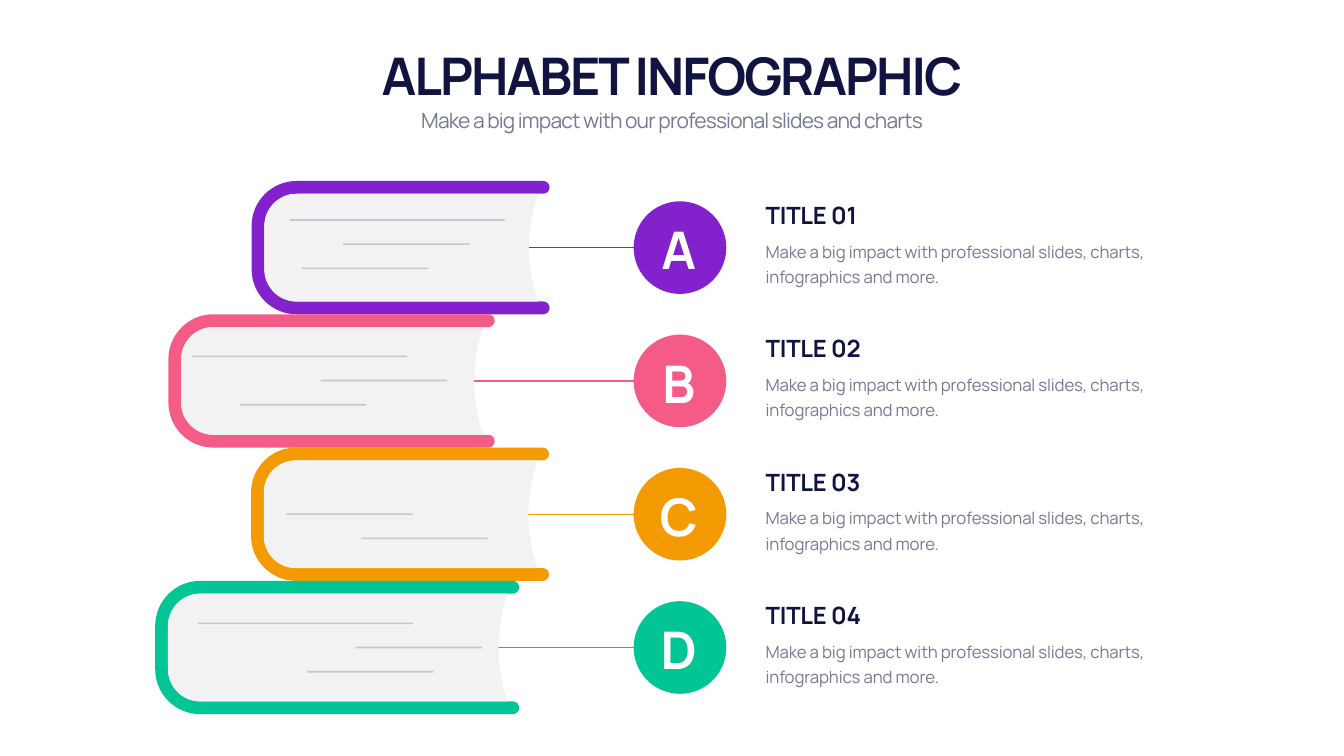
from itertools import chain
from math import cos, radians, sin

from lxml.etree import SubElement
from pptx import Presentation
from pptx.dml.color import RGBColor
from pptx.enum.shapes import MSO_CONNECTOR, MSO_SHAPE
from pptx.enum.text import MSO_ANCHOR, MSO_AUTO_SIZE, PP_ALIGN
from pptx.oxml.ns import qn
from pptx.util import Inches, Pt

colour = RGBColor.from_string
NAVY, SLATE, WHITE, PAPER, RULE = "111340", "747A94", "FFFFFF", "F2F2F2", "C4C8CE"

deck = Presentation()
deck.slide_width, deck.slide_height = Inches(26.66), Inches(15)
page = deck.slides.add_slide(deck.slide_layouts[0])
shapes = page.shapes

# Square grid: the slide is 100 columns wide, and a row is as high as a column
COLUMN = deck.slide_width / 100


def grid(*lengths):
    return [round(length * COLUMN) for length in lengths]


def write(box, area, text, size, ink, spacing, bold=False, align=PP_ALIGN.LEFT,
          anchor=MSO_ANCHOR.TOP, leading=None):
    box.left, box.top, box.width, box.height = grid(*area)
    frame = box.text_frame
    frame.word_wrap = True
    frame.auto_size = MSO_AUTO_SIZE.SHAPE_TO_FIT_TEXT
    frame.vertical_anchor = anchor
    para = frame.paragraphs[0]
    para.alignment = align
    para.space_before = Pt(0)
    if leading:
        para.line_spacing = Pt(leading)
    span = para.add_run()
    span.text = text
    span.font.name, span.font.size, span.font.bold = "Manrope", Pt(size), bold
    span.font.color.rgb = colour(ink)
    span.font._element.set("spc", str(round(spacing * 100)))


# Heading
write(shapes.title, (6.25, 2.85, 87.5, 5.18), "ALPHABET INFOGRAPHIC", 74, NAVY, -2.9,
      bold=True, align=PP_ALIGN.CENTER, anchor=MSO_ANCHOR.BOTTOM, leading=94)
write(page.placeholders[1], (6.25, 7.51, 87.5, 2.48),
      "Make a big impact with our professional slides and charts", 30, SLATE, -1.2,
      align=PP_ALIGN.CENTER, leading=42)

# Each book: letter, colour, left, right, first rule from the middle, rules (start, length)
LONG, SHORT = 15.98, 9.4
books = [
    ("A", "8322CC", 18.72, 40.89, -2.06, [(21.57, LONG), (25.54, SHORT), (22.47, SHORT)]),
    ("B", "F55B87", 12.53, 36.81, -1.83, [(14.29, LONG), (23.86, SHORT), (17.85, SHORT)]),
    ("C", "F49A02", 18.68, 40.85, 0, [(21.31, SHORT), (26.89, SHORT)]),
    ("D", "02C595", 11.55, 38.63, -1.8, [(14.74, LONG), (26.48, SHORT), (22.84, SHORT)]),
]
STACK_TOP, BOOK_HEIGHT, RULE_GAP, RULE_WEIGHT = 13.47, 9.92, 1.8, 0.12
OUTER, COVER = 3.34, 0.95
CAP, INNER = COVER / 2, OUTER - COVER
PAGE_INSET, PAGE_DIP = 0.86, 0.68
BADGE_LEFT, BADGE = 47.15, 6.89
KAPPA = 0.55  # control length of a quarter circle, as a share of its radius

for number, (letter, hue, left, right, first_rule, rules) in enumerate(books):
    top = STACK_TOP + number * BOOK_HEIGHT
    bottom, middle = top + BOOK_HEIGHT, top + BOOK_HEIGHT / 2
    page_edge = right - PAGE_INSET
    dip_edge = page_edge - PAGE_DIP

    # Line from the pages to the badge centre
    leader = shapes.add_connector(
        MSO_CONNECTOR.STRAIGHT,
        *grid(dip_edge - 0.25, middle, BADGE_LEFT + BADGE / 2, middle))
    leader.line.color.rgb = colour(hue)
    leader.line.width = Pt(1.9)
    SubElement(leader._element.spPr, qn("a:effectLst"))

    # Badge with its letter
    badge = shapes.add_shape(MSO_SHAPE.OVAL,
                             *grid(BADGE_LEFT, middle - BADGE / 2, BADGE, BADGE))
    badge.shadow.inherit = False
    badge.fill.solid()
    badge.fill.fore_color.rgb = colour(hue)
    badge.line.fill.background()
    write(shapes.add_textbox(0, 0, 0, 0), (48.01, middle - 2.42, 4.99, 5.06), letter,
          74, WHITE, -2.9, bold=True, align=PP_ALIGN.CENTER, anchor=MSO_ANCHOR.MIDDLE)

    # Quarter turns of the cover: centre, radius, first angle, direction
    spine, tip = left + OUTER, right - CAP
    turns = [
        (spine, bottom - OUTER, OUTER, 90, 1),
        (spine, top + OUTER, OUTER, 180, 1),
        (tip, top + CAP, CAP, 270, 1),
        (tip, top + CAP, CAP, 0, 1),
        (spine, top + OUTER, INNER, 270, -1),
        (spine, bottom - OUTER, INNER, 180, -1),
        (tip, bottom - CAP, CAP, 270, 1),
        (tip, bottom - CAP, CAP, 0, 1),
    ]
    curves = []
    for x, y, radius, start, way in turns:
        (ax, ay), (bx, by) = [(radius * cos(radians(angle)), radius * sin(radians(angle)))
                              for angle in (start, start + 90 * way)]
        curves.append([(x + ax, y + ay), (x + ax + KAPPA * bx, y + ay + KAPPA * by),
                       (x + bx + KAPPA * ax, y + by + KAPPA * ay), (x + bx, y + by)])
    half = BOOK_HEIGHT / 2 - COVER
    upper = [(page_edge - PAGE_DIP * depth, middle - half * height)
             for depth, height in ((0, 1), (2 / 3, 2 / 3), (1, 1 / 3), (1, 0))]
    lower = [(x, 2 * middle - y) for x, y in reversed(upper)]

    # Cover and pages: every four points are a start and one Bézier curve
    book = shapes.add_group_shape()
    parts = []
    for outline, fill in ((curves, hue), ([lower[::-1], upper[::-1], *curves[4:6]], PAPER)):
        points = [grid(*point) for point in chain(*outline)]
        builder = book.shapes.build_freeform(*points[0])
        builder.add_line_segments(points[1:], close=True)
        part = builder.convert_to_shape()
        track = part._element.find(".//" + qn("a:path"))
        nodes, last = list(track)[:-1], None
        for first in range(0, len(nodes), 4):
            begin, *bend = nodes[first:first + 4]
            curve = begin.makeelement(qn("a:cubicBezTo"))
            bend[0].addprevious(curve)
            if dict(begin[0].attrib) == last:
                track.remove(begin)
            last = dict(bend[2][0].attrib)
            for node in bend:
                curve.append(node[0])
                track.remove(node)
        parts.append((part, fill))

    # Rules on the pages, as one outline
    builder = None
    for row, (start, length) in enumerate(rules):
        y = middle + first_rule + row * RULE_GAP - RULE_WEIGHT / 2
        corners = [grid(start, y), grid(start + length, y),
                   grid(start + length, y + RULE_WEIGHT), grid(start, y + RULE_WEIGHT)]
        if builder:
            builder.move_to(*corners[0])
        else:
            builder = book.shapes.build_freeform(*corners[0])
        builder.add_line_segments(corners[1:], close=True)
    parts.append((builder.convert_to_shape(), RULE))

    for part, fill in parts:
        part.shadow.inherit = False
        part.fill.solid()
        part.fill.fore_color.rgb = colour(fill)
        part.line.fill.background()

    # Title and description
    write(shapes.add_textbox(0, 0, 0, 0), (56.6, middle - 3.69, 32.37, 2.51),
          f"TITLE {number + 1:02}", 34, NAVY, -0.3, bold=True, anchor=MSO_ANCHOR.BOTTOM)
    write(shapes.add_textbox(0, 0, 0, 0), (56.6, middle - 1.01, 32.37, 4.05),
          "Make a big impact with professional slides, charts, infographics and more.",
          24, SLATE, -0.2, leading=36)

deck.save("out.pptx")
